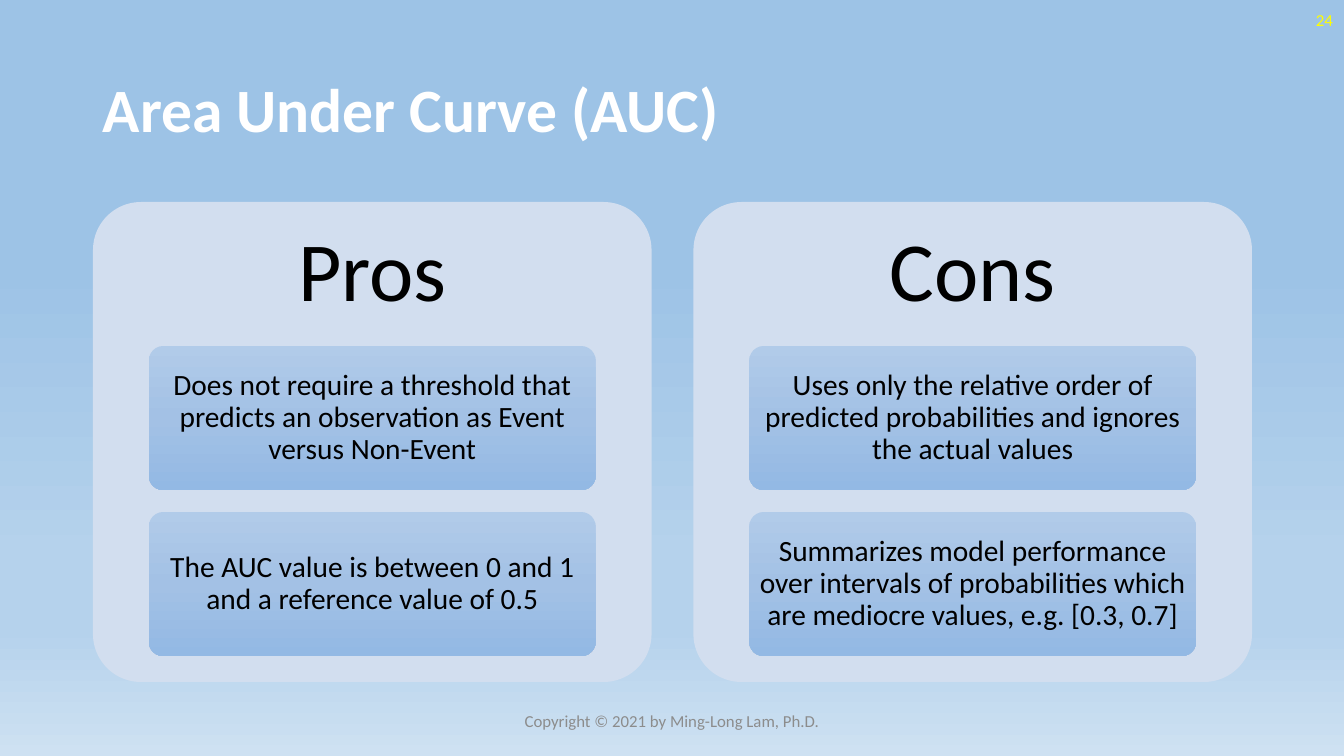
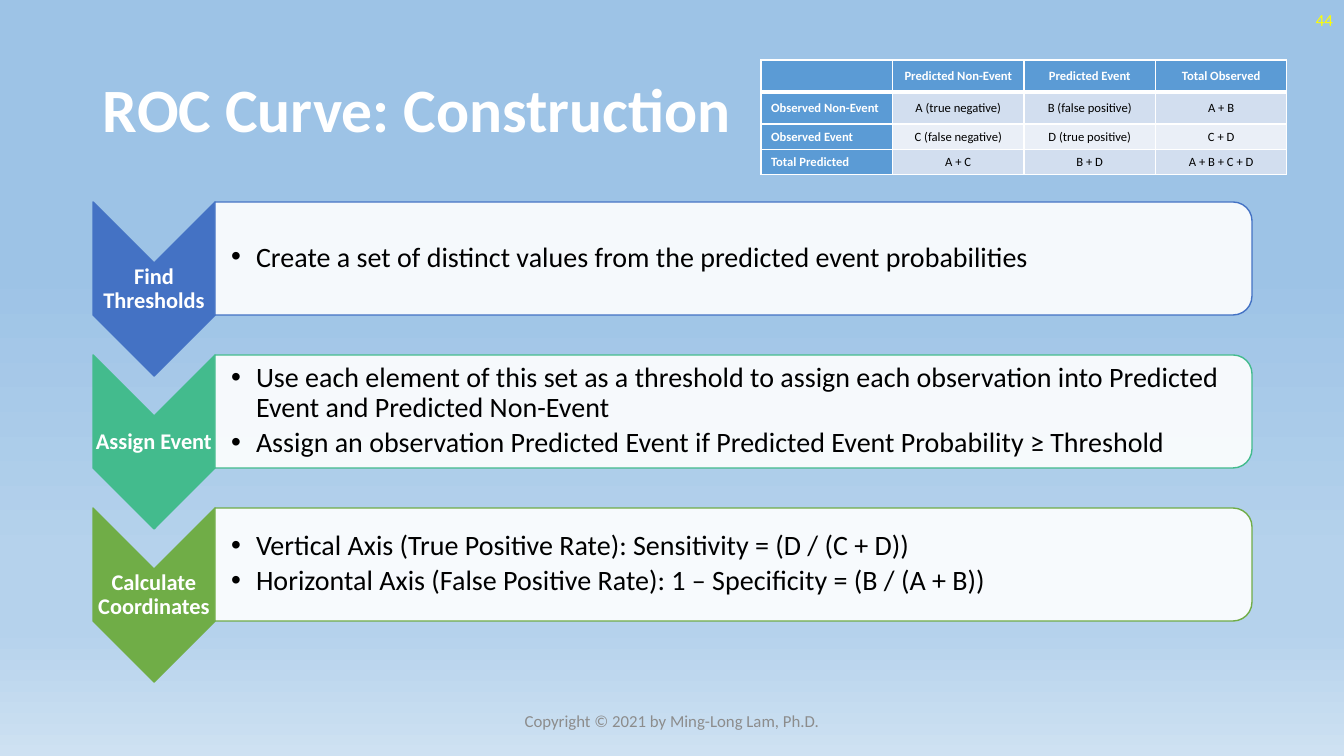
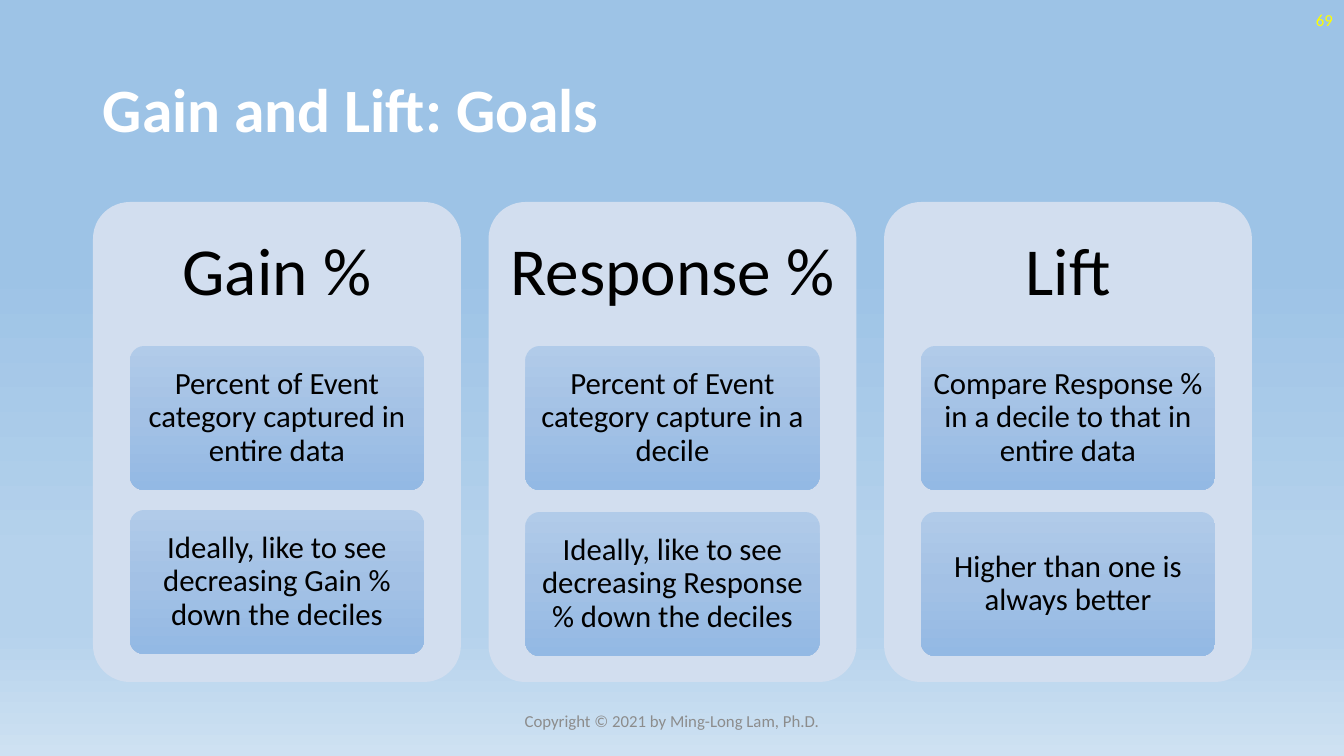
from lxml import etree
from pptx import Presentation
from pptx.dml.color import RGBColor
from pptx.enum.shapes import MSO_SHAPE
from pptx.enum.text import MSO_ANCHOR, MSO_AUTO_SIZE, PP_ALIGN
from pptx.oxml.ns import qn
from pptx.util import Pt

# Shared look
SLIDE_W, SLIDE_H = 1344, 756
EMU_PER_PX = 12192000 / SLIDE_W
FONT = "Calibri"
COLORS = {
    "white": "FFFFFF", "black": "000000", "number": "FFFF00", "footer": "8C8C8C",
    "panel": "D2DEEF", "head": "5B9BD5", "band": "D2DEEF", "band_light": "EAEFF7",
    "blue": "4472C4", "teal": "43BB8D", "green": "70AD47",
}
BACKGROUND_STOPS = [(35, "9DC3E6"), (74, "B5D2EC"), (83, "B5D2EC"), (100, "CEE1F2")]
CARD_STOPS = [(0, "B1CBE9"), (50, "A3C1E5"), (100, "93B9E4")]
COPYRIGHT = "Copyright © 2021 by Ming-Long Lam, Ph.D."

ROUND_RECT = MSO_SHAPE.ROUNDED_RECTANGLE
CHEVRON = MSO_SHAPE.CHEVRON
ROUND_TOP = MSO_SHAPE.ROUND_2_SAME_RECTANGLE
LEFT, CENTER, RIGHT = PP_ALIGN.LEFT, PP_ALIGN.CENTER, PP_ALIGN.RIGHT
MIDDLE = MSO_ANCHOR.MIDDLE
NO_AUTOFIT = MSO_AUTO_SIZE.NONE

# Content area shared by all slides
BODY_X, BODY_Y, BODY_W, BODY_H = 93, 202, 1159, 480


def px(length):
    return round(length * EMU_PER_PX)


def box(x, y, w, h):
    return px(x), px(y), px(w), px(h)


def rgb(name):
    return RGBColor.from_string(COLORS[name])


def set_gradient(fill, owner, stops):
    """Fill from top to bottom with (percent, hex) stops."""
    fill.gradient()
    fill.gradient_angle = 270
    stop_list = next(owner.iter(qn("a:gsLst")))
    for old_stop in list(stop_list):
        stop_list.remove(old_stop)
    for percent, color in stops:
        stop = etree.SubElement(stop_list, qn("a:gs"), pos=str(percent * 1000))
        etree.SubElement(stop, qn("a:srgbClr"), val=color)


def add_bullet(paragraph, indent):
    props = paragraph._p.get_or_add_pPr()
    props.set("marL", str(px(indent)))
    props.set("indent", str(-px(indent)))
    etree.SubElement(props, qn("a:buFont"), typeface="Arial")
    etree.SubElement(props, qn("a:buChar"), char="•")


def format_paragraph(paragraph, size, color, bold=False, align=LEFT):
    paragraph.alignment = align
    font = paragraph.font
    font.name, font.size, font.bold = FONT, Pt(size), bold
    font.color.rgb = rgb(color)


def write(frame, lines, size, color, bold=False, align=CENTER,
          margins=(10, 5), spacing=0.9, bullet_indent=0):
    """Put one paragraph per line into a text frame, centred vertically."""
    frame.word_wrap = True
    frame.auto_size = NO_AUTOFIT
    frame.vertical_anchor = MIDDLE
    side, edge = margins
    frame.margin_left = frame.margin_right = px(side)
    frame.margin_top = frame.margin_bottom = px(edge)
    frame.text = "\n".join(lines)
    for paragraph in frame.paragraphs:
        paragraph.line_spacing = spacing
        if bullet_indent:
            paragraph.space_after = Pt(3)
            add_bullet(paragraph, bullet_indent)
        format_paragraph(paragraph, size, color, bold, align)


def add_text(slide, area, lines, size, color, **style):
    frame = slide.shapes.add_textbox(*box(*area)).text_frame
    write(frame, lines, size, color, **style)
    return frame


def add_rounded(slide, area):
    shape = slide.shapes.add_shape(ROUND_RECT, *box(*area))
    shape.adjustments[0] = 0.1
    shape.shadow.inherit = False
    shape.line.fill.background()
    return shape


def add_turned(slide, kind, area, fill, line):
    """Add a shape turned by 90 degrees that covers the given area."""
    x, y, w, h = area
    shape = slide.shapes.add_shape(
        kind, *box(x + (w - h) / 2, y + (h - w) / 2, h, w))
    shape.rotation = 90
    shape.shadow.inherit = False
    shape.fill.solid()
    shape.fill.fore_color.rgb = rgb(fill)
    shape.line.color.rgb = rgb(line)
    shape.line.width = Pt(1)
    return shape


def add_slide(prs, title, number):
    slide = prs.slides.add_slide(prs.slide_layouts[5])
    heading = slide.shapes.title
    heading.left, heading.top, heading.width, heading.height = box(93, 40, BODY_W, 146)
    write(heading.text_frame, [title], 44, "white", bold=True, align=LEFT)
    add_text(slide, (1041, 0, 302, 40), [number], 12, "number", align=RIGHT, spacing=1)
    add_text(slide, (445, 701, 454, 40), [COPYRIGHT], 12, "footer", spacing=1)
    return slide


# Panels with a heading and stacked cards
def add_panels(slide, panels, heading_size, heading_margin, card_size):
    gap_share, card_share = 0.075, 0.8
    count = len(panels)
    panel_w = BODY_W / (count + (count - 1) * gap_share)
    card_w, card_h = panel_w * card_share, 144
    for column, (heading, card_step, cards) in enumerate(panels):
        x = BODY_X + column * panel_w * (1 + gap_share)
        panel = add_rounded(slide, (x, BODY_Y, panel_w, BODY_H))
        panel.fill.solid()
        panel.fill.fore_color.rgb = rgb("panel")
        add_text(slide, (x, BODY_Y, panel_w, card_h), [heading], heading_size,
                 "black", margins=(heading_margin, heading_margin))
        for row, text in enumerate(cards):
            y = BODY_Y + card_h + row * card_step
            card = add_rounded(slide, (x + (panel_w - card_w) / 2, y, card_w, card_h))
            set_gradient(card.fill, card.element, CARD_STOPS)
            write(card.text_frame, [text], card_size, "black", margins=(6, 4))


# Steps: chevron with a label and a bulleted bar
def add_steps(slide, steps):
    step_pitch, chevron_w, chevron_h, bar_h = 153, 122, 174, 113
    bar_x = BODY_X + chevron_w
    bar_w = BODY_W - chevron_w
    for index, (label, color, bullets) in enumerate(steps):
        y = BODY_Y + index * step_pitch
        add_turned(slide, CHEVRON, (BODY_X, y, chevron_w, chevron_h), color, color)
        add_text(slide, (BODY_X, y + 61, chevron_w, 52), [label], 16, "white",
                 bold=True, margins=(1, 1))
        bar = add_turned(slide, ROUND_TOP, (bar_x, y, bar_w, bar_h), "white", color)
        white = bar.fill._xPr.find(qn("a:solidFill"))[0]
        etree.SubElement(white, qn("a:alpha"), val="90000")
        bullet_text = add_text(slide, (bar_x, y + 5, bar_w - 5, 102), bullets, 20,
                               "black", align=LEFT, margins=(1, 1), bullet_indent=25)
        bullet_text.margin_left = px(16)


# Table
def set_borders(cell, widths):
    props = cell._tc.get_or_add_tcPr()
    for side, width in widths.items():
        line = etree.SubElement(props, qn(f"a:ln{side}"), w=str(Pt(width)))
        fill = etree.SubElement(line, qn("a:solidFill"))
        etree.SubElement(fill, qn("a:srgbClr"), val=COLORS["white"])


def add_confusion_table(slide, area, row_heights, rows):
    table = slide.shapes.add_table(len(rows), len(rows[0]), *box(*area)).table
    for row, (height, texts) in enumerate(zip(row_heights, rows)):
        table.rows[row].height = px(height)
        band = "band" if row % 2 else "band_light"
        for column, text in enumerate(texts):
            cell = table.cell(row, column)
            is_head = row == 0 or column == 0
            set_borders(cell, {"L": 1, "R": 1, "T": 3 if row == 1 else 1,
                               "B": 3 if row == 0 else 1})
            cell.fill.solid()
            cell.fill.fore_color.rgb = rgb("head" if is_head else band)
            cell.vertical_anchor = MIDDLE
            cell.text = text
            paragraph = cell.text_frame.paragraphs[0]
            format_paragraph(paragraph, 9, "white" if is_head else "black",
                             bold=is_head, align=CENTER if column else LEFT)
            if not text:
                etree.SubElement(paragraph._p, qn("a:endParaRPr"), sz="900")


def main():
    prs = Presentation()
    prs.slide_width, prs.slide_height = px(SLIDE_W), px(SLIDE_H)
    master = prs.slide_master
    set_gradient(master.background.fill, master.element, BACKGROUND_STOPS)

    # Area under curve
    auc = add_slide(prs, "Area Under Curve (AUC)", "24")
    add_panels(auc, [
        ("Pros", 166, [
            "Does not require a threshold that predicts an observation as Event "
            "versus Non-Event",
            "The AUC value is between 0 and 1 and a reference value of 0.5"]),
        ("Cons", 166, [
            "Uses only the relative order of predicted probabilities and ignores "
            "the actual values",
            "Summarizes model performance over intervals of probabilities which "
            "are mediocre values, e.g. [0.3, 0.7]"]),
    ], heading_size=60, heading_margin=25, card_size=21)

    # ROC curve
    roc = add_slide(prs, "ROC Curve: Construction", "44")
    add_steps(roc, [
        ("Find Thresholds", "blue", [
            "Create a set of distinct values from the predicted event probabilities"]),
        ("Assign Event", "teal", [
            "Use each element of this set as a threshold to assign each observation "
            "into Predicted Event and Predicted Non-Event",
            "Assign an observation Predicted Event if Predicted Event Probability "
            "≥ Threshold"]),
        ("Calculate Coordinates", "green", [
            "Vertical Axis (True Positive Rate): Sensitivity = (D / (C + D))",
            "Horizontal Axis (False Positive Rate): 1 – Specificity = (B / (A + B))"]),
    ])
    add_confusion_table(roc, (761, 60, 526, 114), (32, 32, 25, 25), [
        ("", "Predicted Non-Event", "Predicted Event", "Total Observed"),
        ("Observed Non-Event", "A (true negative)", "B (false positive)", "A + B"),
        ("Observed Event", "C (false negative)", "D (true positive)", "C + D"),
        ("Total Predicted", "A + C", "B + D", "A + B + C + D"),
    ])

    # Gain and lift
    goals = add_slide(prs, "Gain and Lift: Goals", "69")
    add_panels(goals, [
        ("Gain %", 164, [
            "Percent of Event category captured in entire data",
            "Ideally, like to see decreasing Gain % down the deciles"]),
        ("Response %", 166, [
            "Percent of Event category capture in a decile",
            "Ideally, like to see decreasing Response % down the deciles"]),
        ("Lift", 166, [
            "Compare Response % in a decile to that in entire data",
            "Higher than one is always better"]),
    ], heading_size=48, heading_margin=20, card_size=22)

    prs.save("out.pptx")


if __name__ == "__main__":
    main()
